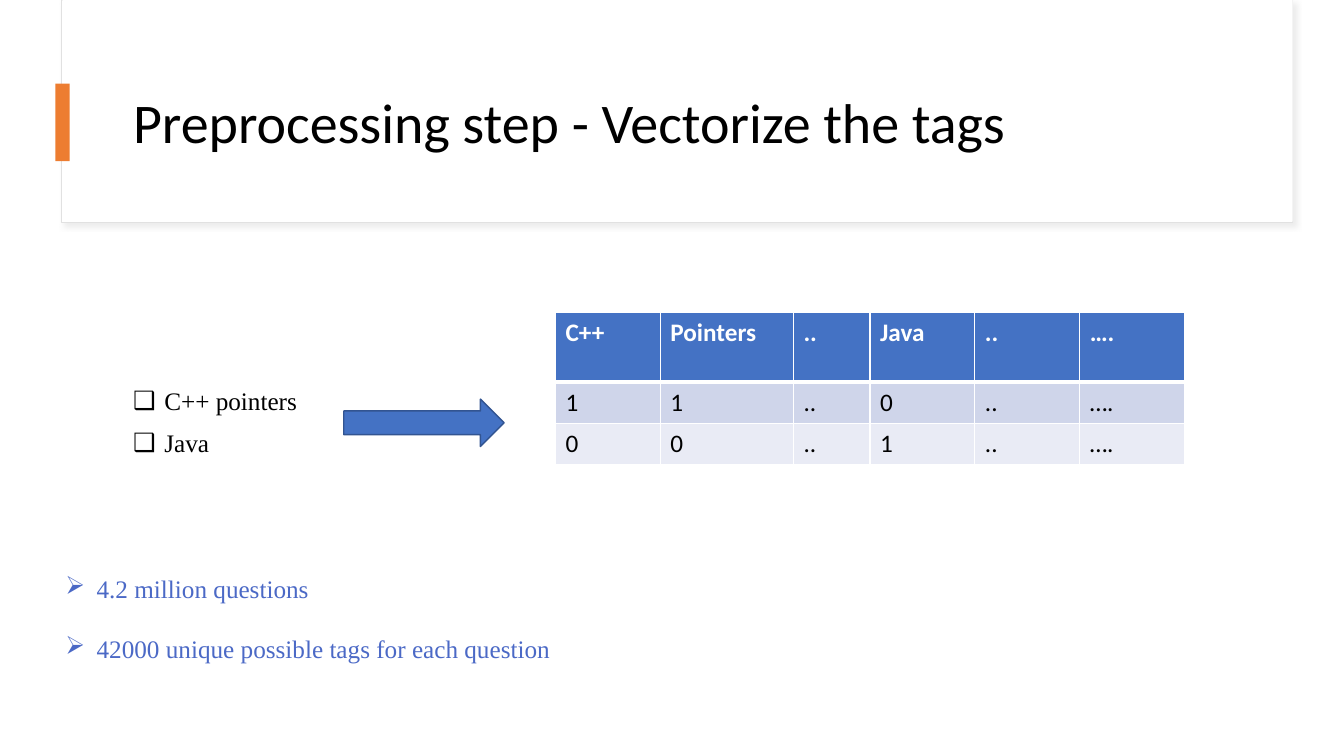
from dataclasses import dataclass
from typing import Optional

from lxml.etree import SubElement
from pptx import Presentation
from pptx.dml.color import RGBColor
from pptx.enum.shapes import MSO_SHAPE
from pptx.enum.text import MSO_ANCHOR, MSO_AUTO_SIZE, PP_ALIGN
from pptx.oxml import parse_xml
from pptx.oxml.ns import nsdecls, qn
from pptx.util import Inches, Pt

SERIF = "Times New Roman"
SANS = "Calibri"
WHITE = "FFFFFF"
BLACK = "000000"
BLUE = "4472C4"


@dataclass
class Block:
    left: float
    top: float
    width: float
    height: float
    fill: str
    kind: MSO_SHAPE = MSO_SHAPE.RECTANGLE
    line: Optional[str] = None
    line_width: float = 1
    shadow: Optional[str] = None


@dataclass
class TableRow:
    height: float
    fill: str
    color: str
    bold: bool
    bottom_border: float
    values: list[str]


CARD = Block(0.61, 0, 12.21, 2.21, WHITE, line="E1E1E1", line_width=0.75, shadow="D9D9D9")
CARD_FACE = Block(0.62, 0, 12.2, 2.2, WHITE)
ACCENT = Block(0.55, 0.83, 0.14, 0.77, "ED7D31")
ARROW = Block(3.41, 3.96, 1.59, 0.47, BLUE, MSO_SHAPE.RIGHT_ARROW, "325491")

COLUMN_WIDTHS = [1.04, 1.32, 0.76, 1.04, 1.04, 1.04]
TABLE_ROWS = [
    TableRow(0.69, BLUE, WHITE, True, 3, ["C++", "Pointers", "..", "Java", "..", "…."]),
    TableRow(0.41, "CFD5EA", BLACK, False, 1, ["1", "1", "..", "0", "..", "…."]),
    TableRow(0.41, "E9EBF5", BLACK, False, 1, ["0", "0", "..", "1", "..", "…."]),
]


def color_of(value: str) -> RGBColor:
    return RGBColor.from_string(value)


def place(shape, left: float, top: float, width: float, height: float) -> None:
    shape.left, shape.top = Inches(left), Inches(top)
    shape.width, shape.height = Inches(width), Inches(height)


def bring_to_front(shape) -> None:
    shape.element.getparent().append(shape.element)


def add_block(page, block: Block) -> None:
    shape = page.shapes.add_shape(
        block.kind, Inches(block.left), Inches(block.top), Inches(block.width), Inches(block.height)
    )
    shape.shadow.inherit = False
    shape.fill.solid()
    shape.fill.fore_color.rgb = color_of(block.fill)
    if block.line:
        shape.line.color.rgb = color_of(block.line)
        shape.line.width = Pt(block.line_width)
    else:
        shape.line.fill.background()
    if block.shadow:
        effects = shape.element.spPr.find(qn("a:effectLst"))
        effects.append(parse_xml(
            f'<a:outerShdw {nsdecls("a")} blurRad="{Pt(4)}" dist="{Pt(3)}" dir="2700000" algn="tl" '
            f'rotWithShape="0"><a:srgbClr val="{block.shadow}"><a:alpha val="50000"/>'
            f"</a:srgbClr></a:outerShdw>"
        ))


def write(frame, lines: list[str], *, size: float = 18, font: str = SANS, color: str = BLACK,
          bold: bool = False, bullet: Optional[str] = None, gap: float = 0,
          line_spacing: float = 1) -> None:
    for index, line in enumerate(lines):
        para = frame.add_paragraph() if index else frame.paragraphs[0]
        if bullet:
            properties = para._p.get_or_add_pPr()
            properties.set("marL", str(Inches(0.31)))
            properties.set("indent", str(-Inches(0.31)))
            SubElement(properties, qn("a:buChar"), char=bullet)
        para.alignment = PP_ALIGN.LEFT
        para.line_spacing = line_spacing
        para.space_before = Pt(gap if index else 0)
        span = para.add_run()
        span.text = line
        span.font.size = Pt(size)
        span.font.name = font
        span.font.bold = bold
        span.font.color.rgb = color_of(color)


def set_borders(cell, widths: dict[str, float]) -> None:
    properties = cell._tc.get_or_add_tcPr()
    for index, (side, width) in enumerate(widths.items()):
        properties.insert(index, parse_xml(
            f'<a:{side} {nsdecls("a")} w="{Pt(width)}"><a:solidFill>'
            f'<a:srgbClr val="{WHITE}"/></a:solidFill></a:{side}>'
        ))


def add_tag_table(page) -> None:
    table = page.shapes.add_table(
        len(TABLE_ROWS), len(COLUMN_WIDTHS), Inches(5.51), Inches(3.1),
        Inches(sum(COLUMN_WIDTHS)), Inches(sum(row.height for row in TABLE_ROWS)),
    ).table
    for column, width in zip(table.columns, COLUMN_WIDTHS):
        column.width = Inches(width)
    top_border = 1
    for row_index, row in enumerate(TABLE_ROWS):
        table.rows[row_index].height = Inches(row.height)
        for column_index, value in enumerate(row.values):
            cell = table.cell(row_index, column_index)
            cell.fill.solid()
            cell.fill.fore_color.rgb = color_of(row.fill)
            set_borders(cell, {"lnL": 1, "lnR": 1, "lnT": top_border, "lnB": row.bottom_border})
            write(cell.text_frame, [value], color=row.color, bold=row.bold)
        top_border = row.bottom_border


def main() -> None:
    deck = Presentation()
    deck.slide_width, deck.slide_height = Inches(13.33), Inches(7.5)
    page = deck.slides.add_slide(deck.slide_layouts[1])
    title, body = page.shapes.title, page.placeholders[1]

    add_block(page, CARD)
    add_block(page, CARD_FACE)

    place(title, 1.22, 0.6, 11.12, 1.29)
    title.text_frame.vertical_anchor = MSO_ANCHOR.MIDDLE
    title.text_frame.auto_size = MSO_AUTO_SIZE.NONE
    write(title.text_frame, ["Preprocessing step - Vectorize the tags"], size=40, line_spacing=0.9)
    bring_to_front(title)
    add_block(page, ACCENT)

    place(body, 1.22, 2.71, 9.93, 2.96)
    body.text_frame.auto_size = MSO_AUTO_SIZE.NONE
    body.text_frame.vertical_anchor = MSO_ANCHOR.TOP
    body.text_frame.margin_top = Inches(1.15)
    write(body.text_frame, ["C++ pointers", "Java"], font=SERIF, bullet="❑", gap=10, line_spacing=0.9)
    bring_to_front(body)

    add_tag_table(page)
    add_block(page, ARROW)

    facts = page.shapes.add_textbox(Inches(0.55), Inches(5.64), Inches(8.22), Inches(1.31))
    facts.text_frame.word_wrap = True
    write(facts.text_frame, ["4.2 million questions", "42000 unique possible tags for each question"],
          font=SERIF, color="4B69C6", bullet="➢", gap=21)

    deck.save("out.pptx")


if __name__ == "__main__":
    main()
